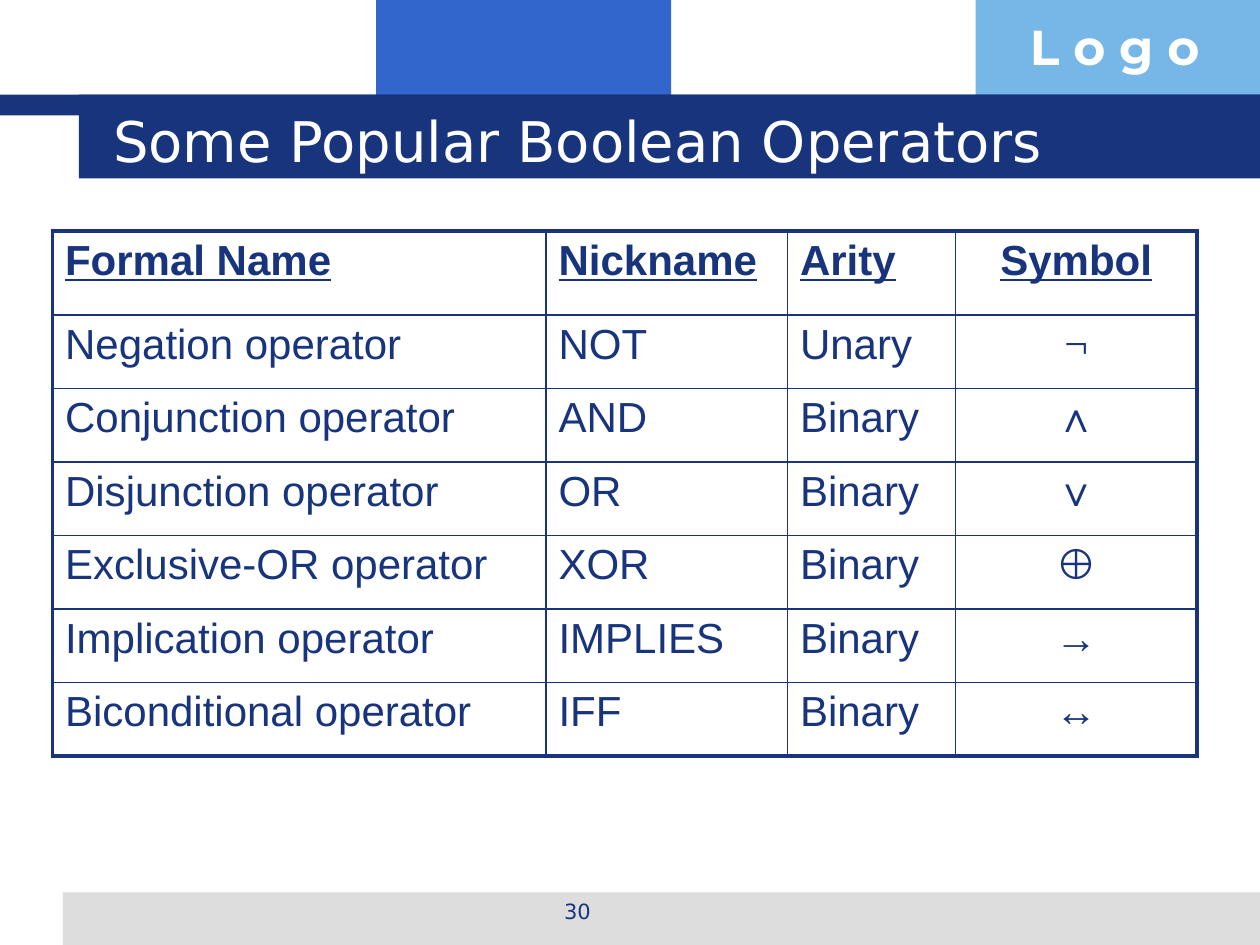
from typing import NamedTuple

from lxml.etree import SubElement
from pptx import Presentation
from pptx.dml.color import RGBColor
from pptx.enum.shapes import MSO_SHAPE
from pptx.enum.text import MSO_ANCHOR, PP_ALIGN
from pptx.oxml import parse_xml
from pptx.oxml.ns import nsdecls, qn
from pptx.util import Pt

NAVY = RGBColor(0x17, 0x34, 0x7D)
BLUE = RGBColor(0x33, 0x66, 0xCC)
SKY = RGBColor(0x77, 0xB7, 0xE7)
GRAY = RGBColor(0xDD, 0xDD, 0xDD)
WHITE = RGBColor(0xFF, 0xFF, 0xFF)

OUTER_BORDER, INNER_BORDER = Pt(2.25), Pt(1)


class Block(NamedTuple):
    left: float
    top: float
    width: float
    height: float
    color: RGBColor


class TextStyle(NamedTuple):
    font: str
    size: float
    color: RGBColor
    bold: bool = False
    underline: bool = False


class Operator(NamedTuple):
    name: str
    nickname: str
    arity: str
    symbol: str


CORNER_BLOCKS = [
    Block(215, 0, 168.5, 66, BLUE),
    Block(557.5, 0, 162.5, 66, SKY),
    Block(36, 510, 684, 30, GRAY),
]
TITLE_BANDS = [
    Block(0, 54, 720, 12, NAVY),
    Block(45, 54, 675, 48, NAVY),
]

HEADINGS = Operator("Formal Name", "Nickname", "Arity", "Symbol")
OPERATORS = [
    Operator("Negation operator", "NOT", "Unary", "¬"),
    Operator("Conjunction operator", "AND", "Binary", "∧"),
    Operator("Disjunction operator", "OR", "Binary", "∨"),
    Operator("Exclusive-OR operator", "XOR", "Binary", "⊕"),
    Operator("Implication operator", "IMPLIES", "Binary", "→"),
    Operator("Biconditional operator", "IFF", "Binary", "↔"),
]
COLUMN_WIDTHS = [282, 138, 96, 138]
HEADER_HEIGHT, ROW_HEIGHT = 48, 42

HEADING_STYLE = TextStyle("Arial", 24, NAVY, bold=True, underline=True)
CELL_STYLE = TextStyle("Arial", 24, NAVY)
NEGATION_STYLE = TextStyle("Times New Roman", 24, NAVY)


def add_block(shapes, block: Block) -> None:
    shape = shapes.add_shape(MSO_SHAPE.RECTANGLE, Pt(block.left), Pt(block.top),
                             Pt(block.width), Pt(block.height))
    shape.shadow.inherit = False
    shape.fill.solid()
    shape.fill.fore_color.rgb = block.color
    shape.line.fill.background()


def write_text(text_frame, text: str, style: TextStyle, alignment=PP_ALIGN.LEFT) -> None:
    paragraph = text_frame.paragraphs[0]
    paragraph.alignment = alignment
    run = paragraph.add_run()
    run.text = text
    run.font.name = style.font
    run.font.size = Pt(style.size)
    run.font.bold = style.bold
    run.font.underline = style.underline
    run.font.color.rgb = style.color


def add_label(shapes, left: float, top: float, width: float, height: float,
              text: str, style: TextStyle, alignment=PP_ALIGN.LEFT) -> None:
    text_frame = shapes.add_textbox(Pt(left), Pt(top), Pt(width), Pt(height)).text_frame
    text_frame.word_wrap = True
    write_text(text_frame, text, style, alignment)


def set_borders(cell, widths: dict) -> None:
    properties = cell._tc.get_or_add_tcPr()
    for position, (side, width) in enumerate(widths.items()):
        line = parse_xml(f'<a:ln{side} {nsdecls("a")} w="{int(width)}"/>')
        fill = SubElement(line, qn("a:solidFill"))
        SubElement(fill, qn("a:srgbClr"), val=str(NAVY))
        properties.insert(position, line)


def add_operator_table(shapes, rows: list[Operator]) -> None:
    row_count, column_count = len(rows), len(COLUMN_WIDTHS)
    table_height = HEADER_HEIGHT + ROW_HEIGHT * (row_count - 1)
    table = shapes.add_table(row_count, column_count, Pt(30), Pt(132),
                             Pt(sum(COLUMN_WIDTHS)), Pt(table_height)).table
    table.first_row = False
    table.horz_banding = False
    for column, width in zip(table.columns, COLUMN_WIDTHS):
        column.width = Pt(width)

    for row_index, operator in enumerate(rows):
        table.rows[row_index].height = Pt(ROW_HEIGHT if row_index else HEADER_HEIGHT)
        for column_index, text in enumerate(operator):
            cell = table.cell(row_index, column_index)
            cell.fill.solid()
            cell.fill.fore_color.rgb = WHITE
            on_edge = {
                "L": column_index == 0,
                "R": column_index == column_count - 1,
                "T": row_index == 0,
                "B": row_index == row_count - 1,
            }
            set_borders(cell, {side: OUTER_BORDER if edge else INNER_BORDER
                               for side, edge in on_edge.items()})
            style = HEADING_STYLE if row_index == 0 else CELL_STYLE
            if text == "¬":
                style = NEGATION_STYLE
            alignment = PP_ALIGN.CENTER if on_edge["R"] else PP_ALIGN.LEFT
            write_text(cell.text_frame, text, style, alignment)


def main() -> None:
    presentation = Presentation()
    presentation.slide_width, presentation.slide_height = Pt(720), Pt(540)
    slide = presentation.slides.add_slide(presentation.slide_layouts[5])
    shapes = slide.shapes
    title = shapes.title

    # Background blocks and title bands
    for block in CORNER_BLOCKS:
        add_block(shapes, block)
    band_group = shapes.add_group_shape()
    for band in TITLE_BANDS:
        add_block(band_group.shapes, band)

    # Logo wording and slide number
    add_label(shapes, 581.5, 6, 139, 41, "L o g o",
              TextStyle("Montserrat", 28, WHITE, bold=True))
    add_label(shapes, 246, 510, 168, 25, "30",
              TextStyle("DejaVu Sans", 12, NAVY), PP_ALIGN.CENTER)

    # Title, brought in front of its band
    band_group._element.getparent().append(title._element)
    title.left, title.top, title.width, title.height = Pt(57.5), Pt(58), Pt(614), Pt(44.5)
    title.text_frame.vertical_anchor = MSO_ANCHOR.MIDDLE
    write_text(title.text_frame, "Some Popular Boolean Operators",
               TextStyle("DejaVu Sans", 32, WHITE))

    # Operator table
    add_operator_table(shapes, [HEADINGS, *OPERATORS])

    presentation.save("out.pptx")


if __name__ == "__main__":
    main()
